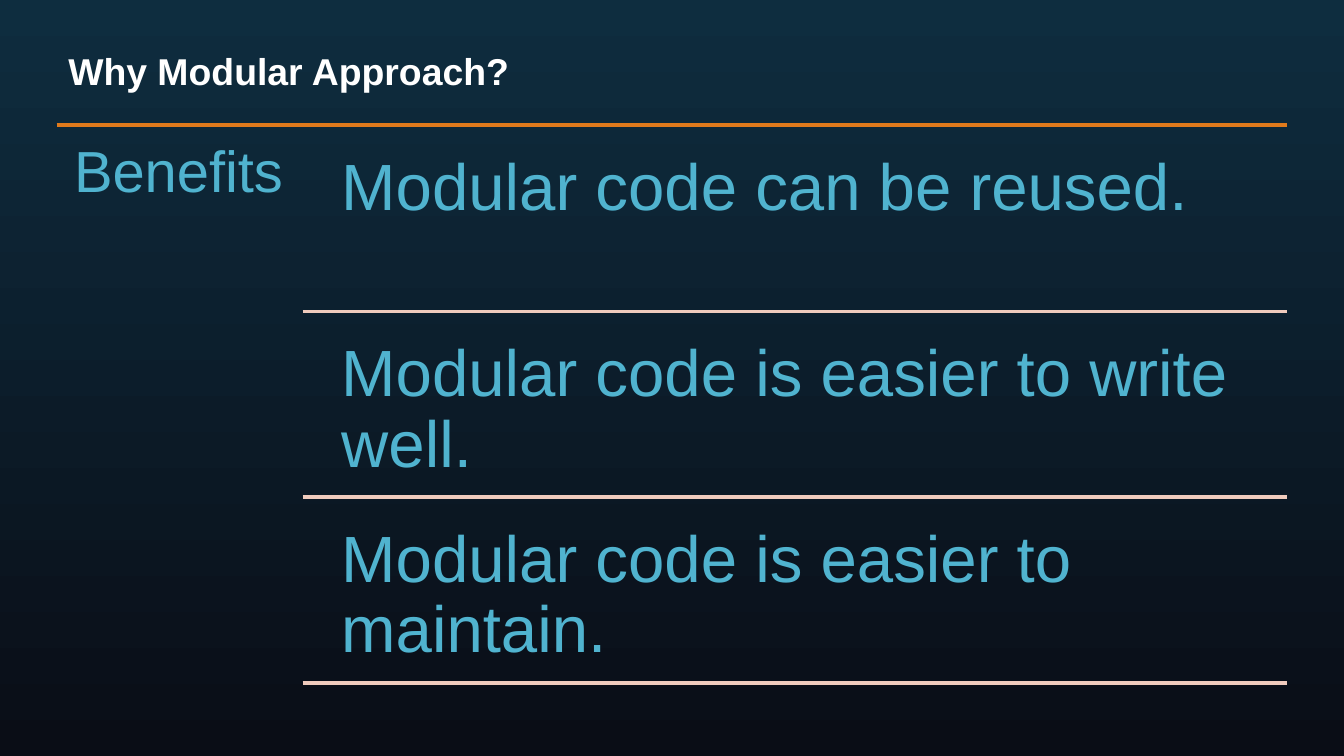
from lxml import etree
from pptx import Presentation
from pptx.dml.color import RGBColor
from pptx.enum import shapes, text
from pptx.oxml.ns import qn
from pptx.util import Cm, Pt

BLUE, ORANGE, PINK, WHITE = "50B3CF", "DF7A1C", "F0CBBD", "FFFFFF"
LEFT, RIGHT, TOP = 1.07, 24.33, 2.36
STEP = 3.51
ROWS = [
    "Modular code can be reused.",
    "Modular code is easier to write well.",
    "Modular code is easier to maintain.",
]


def color(code):
    return RGBColor.from_string(code)


def paint(slide, stops):
    """Fill the background with a gradient running from top to bottom."""
    fill = slide.background.fill
    fill.gradient()
    fill.gradient_angle = 270
    for stop, code, pos in zip(fill.gradient_stops, stops, (0, 1)):
        stop.color.rgb = color(code)
        stop.position = pos


def place(shape, *box):
    for name, size in zip(("left", "top", "width", "height"), box):
        setattr(shape, name, Cm(size))


def write(shape, words, size, code, pad, anchor, bold=False, spacing=None):
    frame = shape.text_frame
    form = {"word_wrap": True, "auto_size": text.MSO_AUTO_SIZE.NONE,
            "vertical_anchor": anchor}
    for side in ("left", "top", "right", "bottom"):
        form["margin_" + side] = Cm(pad)
    for name, value in form.items():
        setattr(frame, name, value)
    para = frame.paragraphs[0]
    para.alignment = text.PP_ALIGN.LEFT
    para.line_spacing = spacing
    run = para.add_run()
    run.text = words
    for name, value in {"name": "Arial", "size": Pt(size), "bold": bold}.items():
        setattr(run.font, name, value)
    run.font.color.rgb = color(code)


def add_text(slide, words, box, size, pad):
    shape = slide.shapes.add_textbox(*map(Cm, box))
    write(shape, words, size, BLUE, pad, text.MSO_ANCHOR.TOP, spacing=0.9)


def add_rule(slide, start, y, code):
    rule = slide.shapes.add_connector(
        shapes.MSO_CONNECTOR.STRAIGHT, Cm(start), Cm(y), Cm(RIGHT), Cm(y))
    rule.line.color.rgb = color(code)
    rule.line.width = Pt(2)
    etree.SubElement(rule._element.spPr, qn("a:effectLst"))


def main():
    deck = Presentation()
    deck.slide_width, deck.slide_height = Cm(25.4), Cm(14.29)
    slide = deck.slides.add_slide(deck.slide_layouts[5])
    paint(slide, ("0E2D3F", "0A0D16"))

    title = slide.shapes.title
    place(title, 1.04, 0.69, 23.32, 1.27)
    write(title, "Why Modular Approach?", 20, WHITE, 0.25,
          text.MSO_ANCHOR.MIDDLE, bold=True)

    add_rule(slide, LEFT, TOP, ORANGE)
    add_text(slide, "Benefits", (LEFT, TOP, 4.65, 10.69), 31, 0.33)
    for i, words in enumerate(ROWS):
        top = 2.54 + i * STEP
        add_text(slide, words, (6.07, top, 18.29, 3.35), 35, 0.38)
        add_rule(slide, 5.72, top + 3.35, PINK)

    deck.save("out.pptx")


if __name__ == "__main__":
    main()
